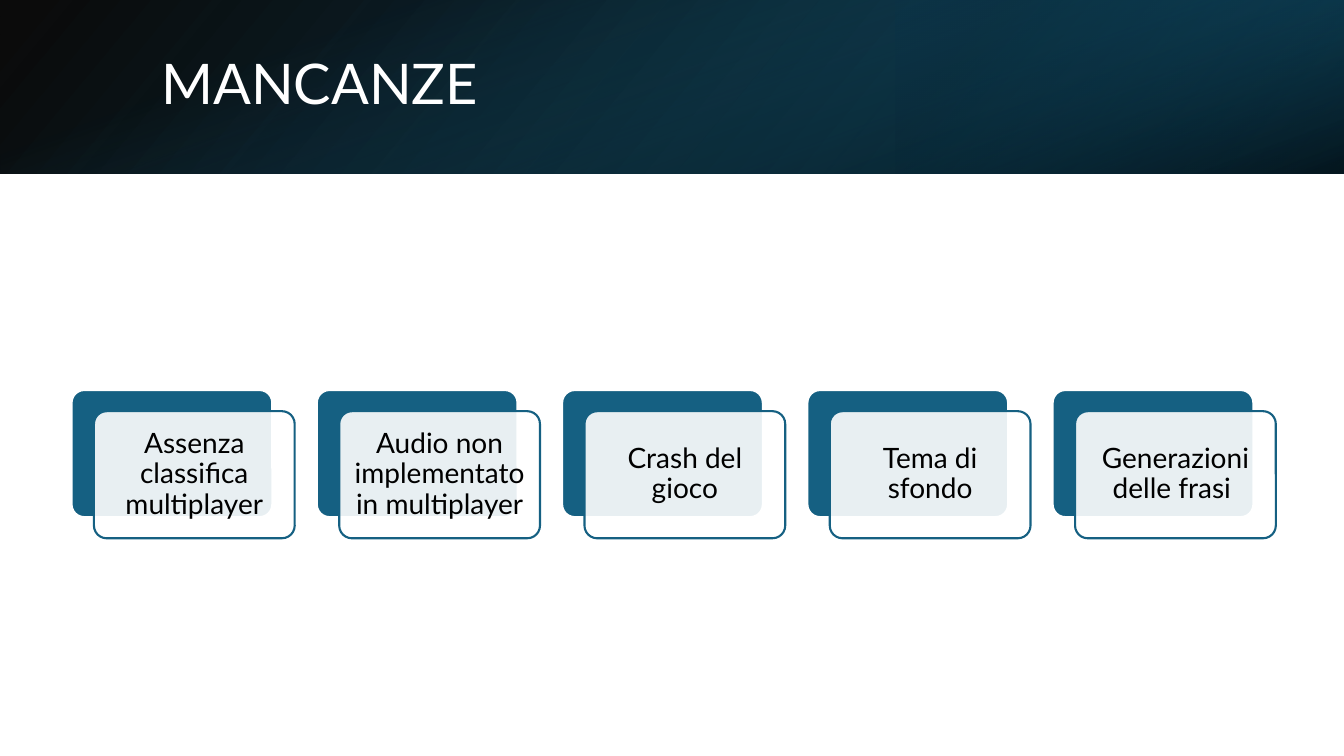
from dataclasses import dataclass

from lxml.etree import SubElement
from pptx import Presentation
from pptx.dml.color import RGBColor as Rgb
from pptx.enum.shapes import MSO_SHAPE as Kind
from pptx.enum.text import MSO_ANCHOR as Anchor, PP_ALIGN as Align
from pptx.oxml import parse_xml
from pptx.oxml.ns import nsdecls, qn
from pptx.util import Pt

HUES = {"white": "FFFFFF", "black": "000000", "blue": "156082",
        "deep": "104862", "navy": "0B3041"}
FONT = "Lato"
WIDE, HIGH, BAND = 960, 540, 124
LEFT, TOP, PITCH = 51.1, 278.6, 175.2
CARD_W, CARD_H = 143.4, 90.8
SHIFT_X, SHIFT_Y, INSET = 16, 15.1, 2.6
LABELS = ("Assenza classifica multiplayer", "Audio non implementato in multiplayer",
          "Crash del gioco", "Tema di sfondo", "Generazioni delle frasi ")


@dataclass
class Box:
    """A frame in points."""
    x: float
    y: float
    w: float
    h: float

    def span(self) -> tuple:
        """Give the frame as lengths."""
        return Pt(self.x), Pt(self.y), Pt(self.w), Pt(self.h)


@dataclass
class Stop:
    """A gradient stop: place and opacity in percent."""
    place: int
    hue: str
    alpha: int


@dataclass
class Layer:
    """One gradient sheet of the banner."""
    box: Box
    stops: tuple
    angle: int
    turn: int = 0
    flip: bool = False


LAYERS = (
    Layer(Box(0, 0, WIDE, BAND),
          (Stop(0, "black", 96), Stop(100, "deep", 100)), 140, flip=True),
    Layer(Box(WIDE * 2 / 3, 0, WIDE / 3, BAND),
          (Stop(19, "navy", 68), Stop(100, "blue", 79)), 320, 180, True),
    Layer(Box((WIDE - BAND) / 2, (BAND - WIDE) / 2, BAND, WIDE),
          (Stop(23, "blue", 0), Stop(99, "black", 74)), 340, 90),
)


def tint(name: str) -> Rgb:
    """Look up a colour."""
    return Rgb.from_string(HUES[name])


def add_layer(slide, layer: Layer) -> None:
    """Draw one gradient sheet."""
    sheet = slide.shapes.add_shape(Kind.RECTANGLE, *layer.box.span())
    sheet.shadow.inherit = False
    sheet.line.fill.background()
    sheet.rotation = layer.turn
    props = sheet._element.spPr
    if layer.flip:
        props.find(qn("a:xfrm")).set("flipH", "1")
    stops = "".join(
        f'<a:gs pos="{s.place * 1000}"><a:srgbClr val="{HUES[s.hue]}">'
        f'<a:alpha val="{s.alpha * 1000}"/></a:srgbClr></a:gs>' for s in layer.stops)
    props.find(qn("a:prstGeom")).addnext(parse_xml(
        f'<a:gradFill {nsdecls("a")} rotWithShape="1"><a:gsLst>{stops}</a:gsLst>'
        f'<a:lin ang="{layer.angle * 60000}" scaled="0"/></a:gradFill>'))


def add_panel(slide, box: Box, fill: str, edge: str, alpha: int = 100) -> None:
    """Draw a rounded panel."""
    panel = slide.shapes.add_shape(Kind.ROUNDED_RECTANGLE, *box.span())
    panel.adjustments[0] = 0.1
    panel.shadow.inherit = False
    panel.fill.solid()
    panel.fill.fore_color.rgb = tint(fill)
    panel.line.color.rgb = tint(edge)
    panel.line.width = Pt(1.5)
    if alpha < 100:
        hue = panel._element.spPr.find(qn("a:solidFill")).find(qn("a:srgbClr"))
        SubElement(hue, qn("a:alpha")).set("val", str(alpha * 1000))


def add_text(frame, text: str, size: int, hue: str, align: Align) -> None:
    """Write one line of text into a frame."""
    frame.word_wrap = True
    frame.vertical_anchor = Anchor.MIDDLE
    para = frame.paragraphs[0]
    para.alignment = align
    para.line_spacing = 0.9
    run = para.add_run()
    run.text = text
    run.font.name = FONT
    run.font.size = Pt(size)
    run.font.color.rgb = tint(hue)


def add_card(slide, x: float, text: str) -> None:
    """Draw a back panel, a front panel and a label."""
    front = Box(x + SHIFT_X, TOP + SHIFT_Y, CARD_W, CARD_H)
    add_panel(slide, Box(x, TOP, CARD_W, CARD_H), "blue", "white")
    add_panel(slide, front, "white", "blue", 90)
    inner = Box(front.x + INSET, front.y + INSET,
                CARD_W - 2 * INSET, CARD_H - 2 * INSET)
    frame = slide.shapes.add_textbox(*inner.span()).text_frame
    frame.margin_left = frame.margin_right = Pt(6)
    frame.margin_top = frame.margin_bottom = Pt(6)
    add_text(frame, text, 20, "black", Align.CENTER)


def add_title(slide, text: str) -> None:
    """Place the title over the banner."""
    title = slide.shapes.title
    slide.shapes._spTree.append(title._element)
    title.left, title.top, title.width, title.height = Box(108, 27.4, 786.6, 69.1).span()
    add_text(title.text_frame, text, 40, "white", Align.LEFT)


def main() -> None:
    """Build the slide."""
    deck = Presentation()
    deck.slide_width, deck.slide_height = Pt(WIDE), Pt(HIGH)
    slide = deck.slides.add_slide(deck.slide_layouts[5])
    for layer in LAYERS:
        add_layer(slide, layer)
    add_title(slide, "MANCANZE")
    for i, label in enumerate(LABELS):
        add_card(slide, LEFT + i * PITCH, label)
    deck.save("out.pptx")


if __name__ == "__main__":
    main()
